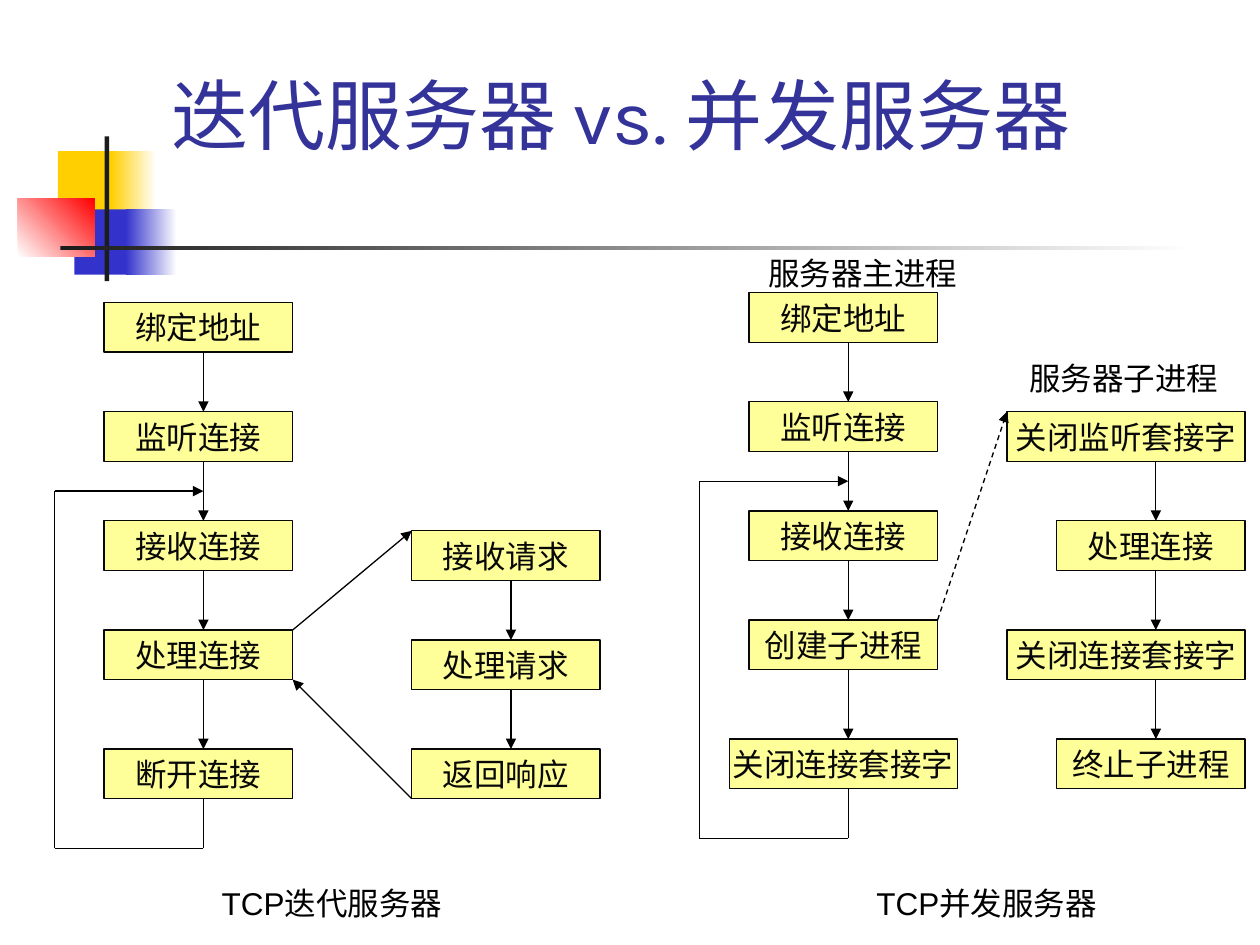
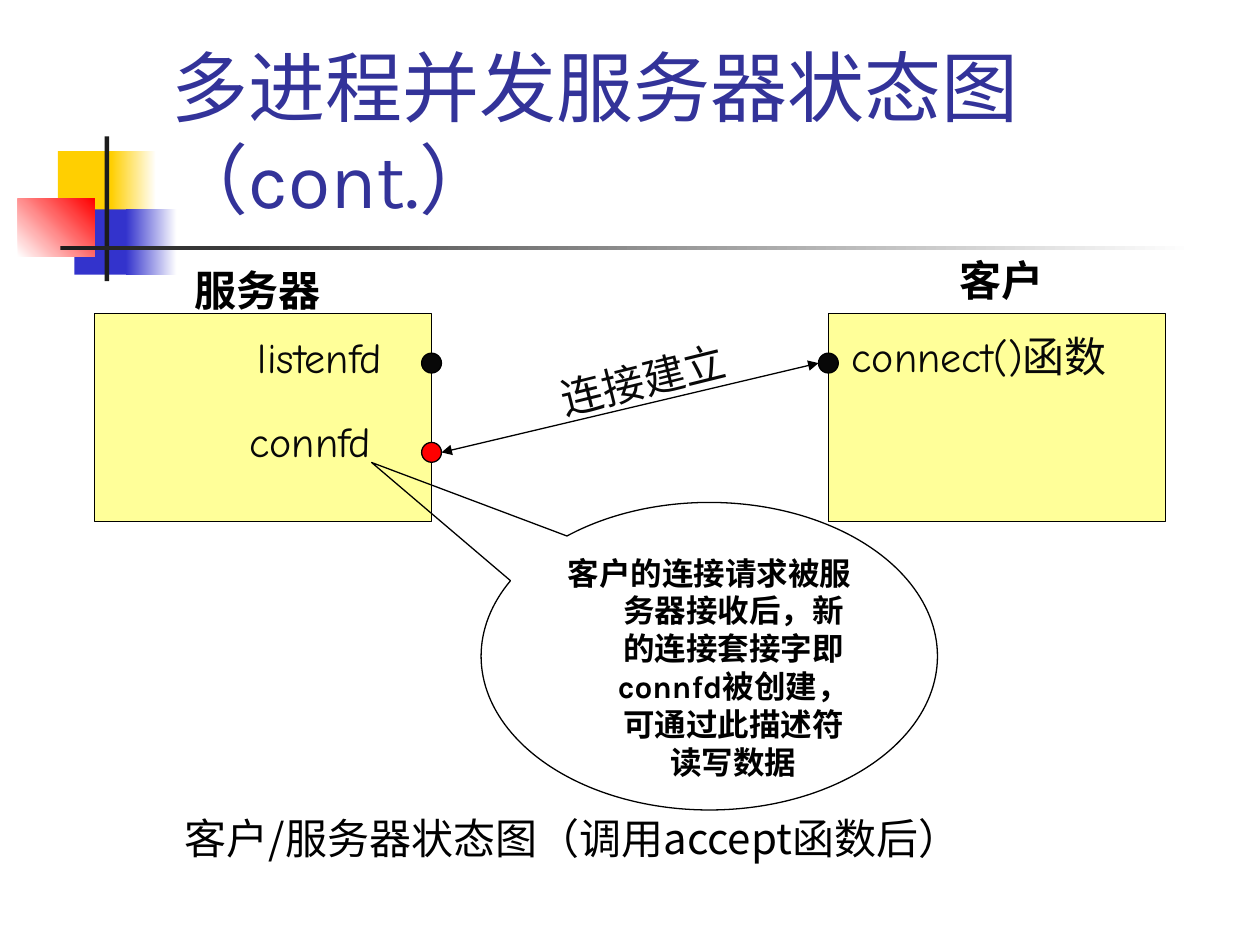
from itertools import pairwise

from lxml import etree
from pptx import Presentation
from pptx.dml.color import RGBColor
from pptx.enum.dml import MSO_LINE
from pptx.enum.shapes import MSO_CONNECTOR, MSO_SHAPE
from pptx.enum.text import MSO_ANCHOR, MSO_AUTO_SIZE, PP_ALIGN
from pptx.oxml.ns import qn
from pptx.util import Inches, Mm, Pt

RECT, OVAL, CALLOUT = MSO_SHAPE.RECTANGLE, MSO_SHAPE.OVAL, MSO_SHAPE.OVAL_CALLOUT
STRAIGHT, DASH = MSO_CONNECTOR.STRAIGHT, MSO_LINE.DASH
LEFT, CENTER = PP_ALIGN.LEFT, PP_ALIGN.CENTER
TOP, MIDDLE, BOTTOM = MSO_ANCHOR.TOP, MSO_ANCHOR.MIDDLE, MSO_ANCHOR.BOTTOM
FIXED, GROW = MSO_AUTO_SIZE.NONE, MSO_AUTO_SIZE.SHAPE_TO_FIT_TEXT

BLACK = RGBColor(0x00, 0x00, 0x00)
INK = RGBColor(0x08, 0x08, 0x08)
WHITE = RGBColor(0xFF, 0xFF, 0xFF)
CREAM = RGBColor(0xFF, 0xFF, 0x99)
RED = RGBColor(0xFF, 0x00, 0x00)
GOLD = RGBColor(0xFF, 0xCF, 0x01)
BLUE = RGBColor(0x33, 0x33, 0xCC)
GREY = RGBColor(0x1C, 0x1C, 0x1C)
TITLE_BLUE = RGBColor(0x33, 0x33, 0x99)

SANS, TITLE_FONT, CODE_FONT, CJK_FONT = "Arial", "Karla", "Comic Neue", "Noto Sans CJK JP"

# Everything lies on a 1 mm grid; flow boxes share height, pitch and offsets.
BOX_H, PITCH = 10, 22
NORMAL, PARENT_WIDE, CHILD_WIDE = (-20, 38), (-24, 46), (-30, 48)  # offset from axis, width
LABEL_H = {18: 10.2, 24: 12.7}

# Colours are (start, end, angle) for a gradient, else a single colour
ORNAMENT = [
    ((11.7, 30.5, 12.2, 13.2), GOLD),
    ((22.4, 30.5, 9.1, 13.2), (GOLD, WHITE, 0)),
    ((15, 42.2, 11.7, 13.2), BLUE),
    ((25.4, 42.2, 10.2, 13.2), (BLUE, WHITE, 0)),
    ((3.6, 40.1, 15.5, 11.7), (WHITE, RED, 45)),
    ((21.1, 27.5, 0.9, 29.2), GREY),
    ((12.2, 49.5, 228.6, 0.9), (GREY, WHITE, 0)),
]


def apply(obj, **values):
    for name, value in values.items():
        setattr(obj, name, value)


def grid(*lengths):
    return [Mm(n) for n in lengths]


def paint(sp, fill):
    if fill is None:
        sp.fill.background()
    elif isinstance(fill, RGBColor):
        sp.fill.solid()
        sp.fill.fore_color.rgb = fill
    else:
        start, end, angle = fill
        sp.fill.gradient()
        sp.fill.gradient_angle = angle
        for stop, colour in zip(sp.fill.gradient_stops, (start, end)):
            stop.color.rgb = colour


def add_shape(s, kind, at, fill, line=None):
    sp = s.shapes.add_shape(kind, *grid(*at))
    sp.shadow.inherit = False
    paint(sp, fill)
    if line is None:
        sp.line.fill.background()
    else:
        sp.line.color.rgb = line
        sp.line.width = Pt(0.75)
    return sp


def write(sp, text, size, font=SANS, color=INK, bold=False, align=LEFT, **frame):
    tf = sp.text_frame
    apply(tf, **frame)
    p = tf.paragraphs[0]
    p.alignment = align
    r = p.add_run()
    r.text = text
    apply(r.font, name=font, size=Pt(size), bold=bold)
    r.font.color.rgb = color
    return p


def add_label(s, text, left, top, width, size=18, fill=None, wrap=False, turn=0, **style):
    sp = s.shapes.add_textbox(*grid(left, top, width, LABEL_H[size]))
    paint(sp, fill)
    sp.rotation = turn
    write(sp, text, size, word_wrap=wrap, auto_size=GROW, **style)


def add_line(s, start, end, head=False, tail=True, dash=None):
    c = s.shapes.add_connector(STRAIGHT, *grid(*start, *end))
    c.line.color.rgb = BLACK
    apply(c.line, width=Pt(0.75), dash_style=dash)
    ln = c.line._get_or_add_ln()
    for tag, wanted in (("a:headEnd", head), ("a:tailEnd", tail)):
        if wanted:
            etree.SubElement(ln, qn(tag), type="triangle")
    etree.SubElement(c._element.spPr, qn("a:effectLst"))


def add_flow(s, axis, tops, steps):
    """Stack boxes beside a vertical axis and link each to the next."""
    for top, (text, (offset, width)) in zip(tops, steps):
        sp = add_shape(s, RECT, (axis + offset, top, width, BOX_H), CREAM, INK)
        write(sp, text, 18, align=CENTER, word_wrap=False, vertical_anchor=MIDDLE)
    for upper, lower in pairwise(tops):
        add_line(s, (axis, upper + BOX_H), (axis, lower))


def add_loop(s, axis, tops):
    """Lead back from the last box to just above the third."""
    last, back, entry = tops[-1] + BOX_H, axis - 30, tops[2] - 6
    corners = [(axis, last), (axis, last + 10), (back, last + 10), (back, entry), (axis, entry)]
    for start, end in pairwise(corners):
        add_line(s, start, end, tail=end == corners[-1])


def rows(first, count):
    return [first + PITCH * i for i in range(count)]


def normal(*texts):
    return [(text, NORMAL) for text in texts]


def add_ornament(s, layout):
    """Draw the corner squares and rule, then hand them to the layout."""
    for i, (at, fill) in enumerate(ORNAMENT):
        sp = add_shape(s, RECT, at, fill)
        layout.shapes._spTree.insert(2 + i, sp._element)


def add_titled_slide(prs, layout, text, top, height):
    s = prs.slides.add_slide(layout)
    left, top, width, height = grid(32, top, 216.4, height)
    apply(s.shapes.title, left=left, top=top, width=width, height=height)
    write(s.shapes.title, text, 44, TITLE_FONT, TITLE_BLUE,
          vertical_anchor=BOTTOM, auto_size=FIXED, word_wrap=True)
    return s


def build_server_flows(s):
    # Iterative server
    tops = rows(61, 4) + [151]
    add_flow(s, 41, tops, normal("绑定地址", "监听连接", "接收连接", "处理连接", "断开连接"))
    add_loop(s, 41, tops)
    add_flow(s, 103, rows(107, 3), normal("接收请求", "处理请求", "返回响应"))
    add_line(s, (59, 127), (83, 107))
    add_line(s, (83, 161), (59, 137))

    # Concurrent server: parent process
    tops = [top - 2 for top in tops]
    add_flow(s, 171, tops, normal("绑定地址", "监听连接", "接收连接", "创建子进程")
             + [("关闭连接套接字", PARENT_WIDE)])
    add_loop(s, 171, tops)

    # Concurrent server: child process
    add_flow(s, 233, rows(83, 4), [
        ("关闭监听套接字", CHILD_WIDE), ("处理连接", NORMAL),
        ("关闭连接套接字", CHILD_WIDE), ("终止子进程", NORMAL)])
    add_line(s, (189, 125), (203, 83), dash=DASH)

    # Captions
    for text, left, top, width, fill in [
            ("服务器主进程", 152.4, 50, 43.4, None),
            ("服务器子进程", 205, 71.1, 43.4, WHITE),
            ("TCP迭代服务器", 42.2, 177, 51.2, None),
            ("TCP并发服务器", 174.2, 177, 51.2, None)]:
        add_label(s, text, left, top, width, fill=fill, color=BLACK)


def build_connection_state(s):
    # Server and client hosts
    for left in (19, 167):
        add_shape(s, RECT, (left, 63.2, 68, 42), CREAM, BLACK)
    add_label(s, "服务器", 36.8, 52.1, 31, 24, color=BLACK, bold=True)
    add_label(s, "客户", 191, 50, 24, 24, color=BLACK, bold=True)

    # Sockets and the link between them
    for left, top, fill in [(85, 71.2, INK), (165, 71.2, INK), (85, 89.2, RED)]:
        add_shape(s, OVAL, (left, top, 4, 4), fill, BLACK)
    add_line(s, (165, 73.2), (89, 91.2), head=True)
    for text, left, top, width in [("connect()函数", 169.2, 65.3, 62),
                                   ("listenfd", 49.5, 65.5, 31),
                                   ("connfd", 47.8, 82.5, 30)]:
        add_label(s, text, left, top, width, 24, font=CODE_FONT)
    add_label(s, "连接建立", 110.2, 70.1, 39.2, 24, turn=346.1)
    add_label(s, "客户/服务器状态图（调用accept函数后）", 34.8, 162.6, 169.2, 24,
              wrap=True, font=CJK_FONT, color=BLACK)

    # Remark on connfd
    sp = add_shape(s, CALLOUT, (97, 101.3, 92, 62), None, BLACK)
    sp.adjustments[0], sp.adjustments[1] = -0.74, -0.63
    p = write(sp, "客户的连接请求被服务器接收后，新的连接套接字即connfd被创建，可通过此描述符读写数据",
              18, TITLE_FONT, BLACK, bold=True, align=CENTER, word_wrap=True, vertical_anchor=TOP)
    p.space_before = Pt(4.5)
    pPr = p._p.get_or_add_pPr()
    pPr.set("marL", str(Inches(0.38)))
    pPr.set("indent", str(-Inches(0.38)))


def main():
    prs = Presentation()
    prs.slide_width, prs.slide_height = Inches(10), Inches(7.5)
    layout = prs.slide_layouts[5]

    s = add_titled_slide(prs, layout, "迭代服务器 vs. 并发服务器", 11.9, 21.6)
    add_ornament(s, layout)
    build_server_flows(s)

    s = add_titled_slide(prs, layout, "多进程并发服务器状态图（cont.）", 5.8, 40.6)
    build_connection_state(s)

    prs.save("out.pptx")


if __name__ == "__main__":
    main()
